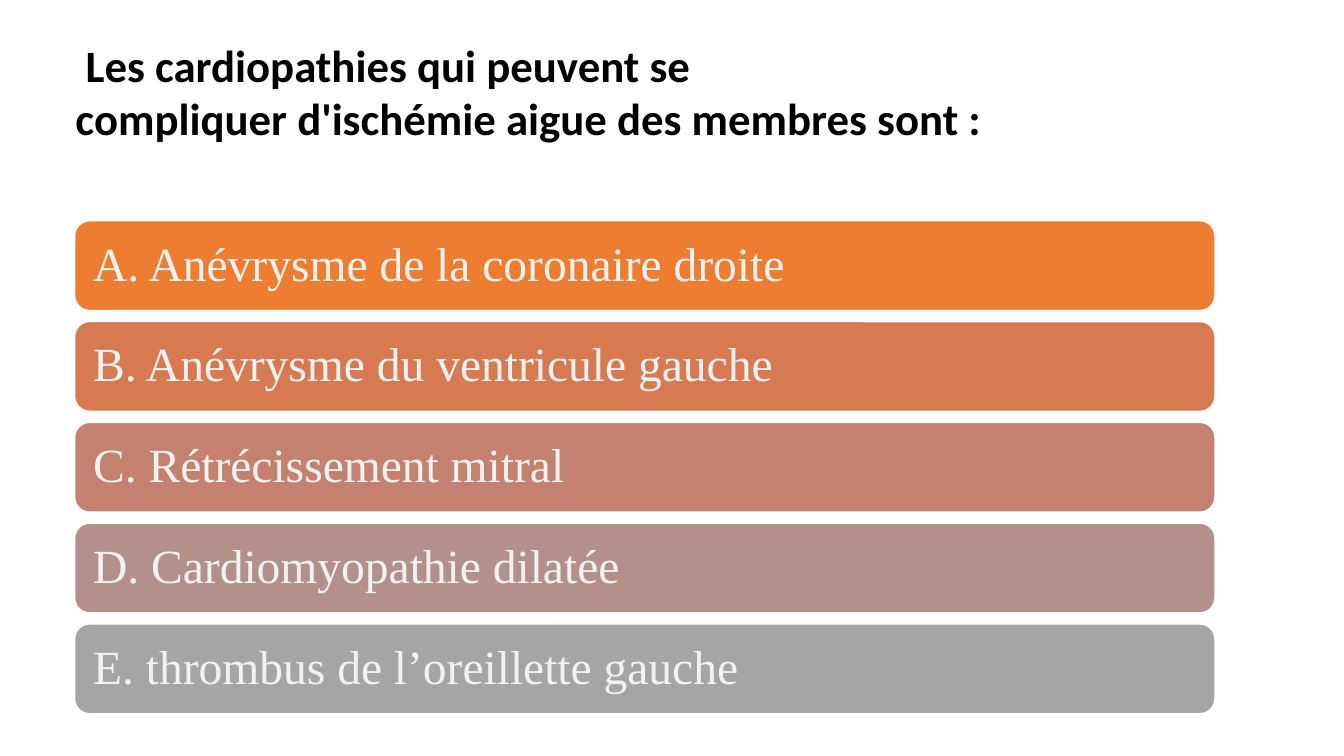
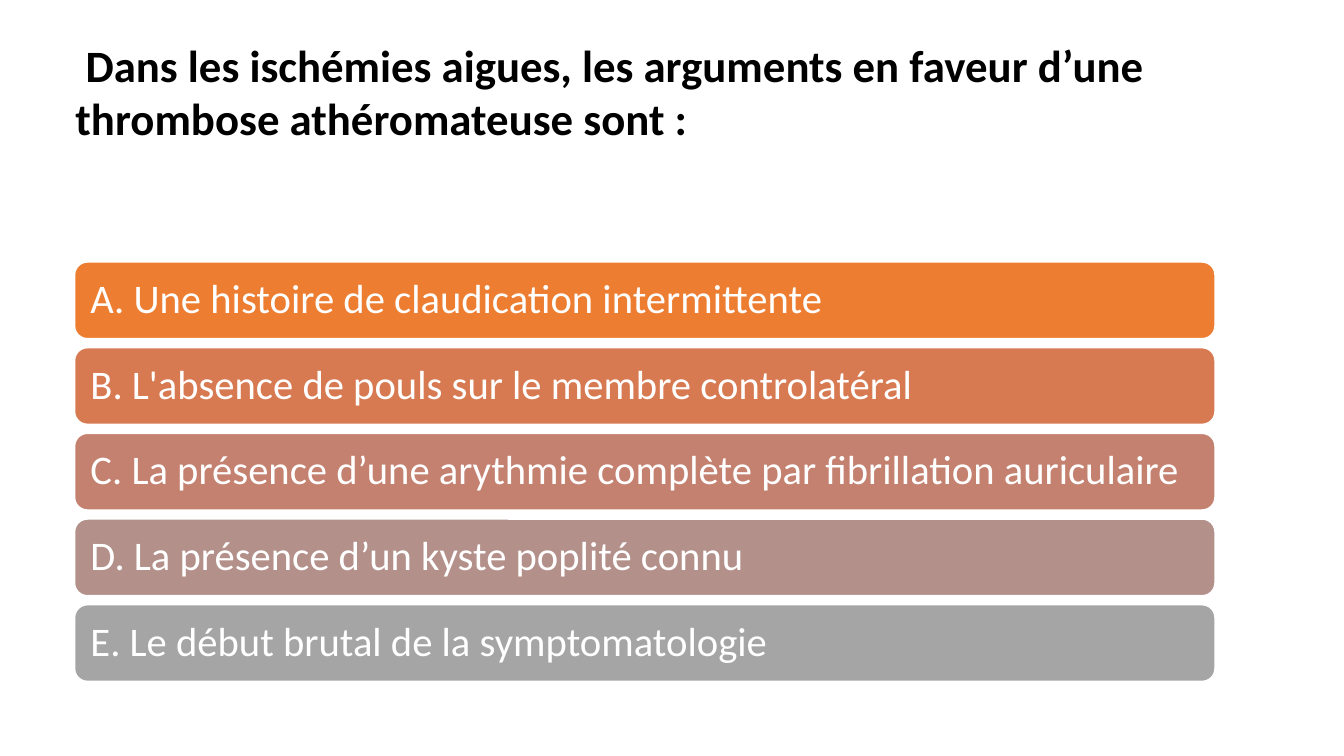
from dataclasses import dataclass

from pptx import Presentation
from pptx import util as u
from pptx.dml.color import RGBColor
from pptx.enum import shapes, text


@dataclass(frozen=True)
class Theme:
    title_font: str = "Calibri"
    title_size: int = 32
    title_color: str = "000000"
    edge: str = "FFFFFF"
    bars: tuple[str, ...] = ("ED7D31", "D87A51", "C48170", "B4908B", "A5A5A5")


@dataclass(frozen=True)
class AnswerStyle:
    """Bar rows are counted in grid units."""
    top: float
    height: float
    pitch: float
    inset: float
    font: str
    size: int
    color: str


@dataclass(frozen=True)
class Question:
    title: tuple[str, ...]
    title_height: float
    answers: tuple[str, ...]
    style: AnswerStyle


THEME = Theme()

# Grid: 75 rows down the slide, columns of the same size
SLIDE_W, SLIDE_H = u.Inches(13.33), u.Inches(7.5)
UNIT = SLIDE_H / 75
TITLE_LEFT, TITLE_TOP, TITLE_WIDTH = 6.5, 3.2, 118.2
BAR_LEFT, BAR_WIDTH = 7.4, 113.1

QUESTIONS = (
    Question(
        (" Les cardiopathies qui peuvent se",
         "compliquer d'ischémie aigue des membres sont :"),
        11.8,
        ("A. Anévrysme de la coronaire droite",
         "B. Anévrysme du ventricule gauche",
         "C. Rétrécissement mitral",
         "D. Cardiomyopathie dilatée",
         "E. thrombus de l’oreillette gauche"),
        AnswerStyle(21.9, 8.9, 10, 1.4, "Times New Roman", 34, "F2F2F2"),
    ),
    Question(
        (" Dans les ischémies aigues, les arguments en faveur d’une "
         "thrombose athéromateuse sont :",),
        20.2,
        ("A. Une histoire de claudication intermittente",
         "B. L'absence de pouls sur le membre controlatéral",
         "C. La présence d’une arythmie complète par fibrillation auriculaire",
         "D. La présence d’un kyste poplité connu",
         "E. Le début brutal de la symptomatologie"),
        AnswerStyle(26, 7.6, 8.5, 1.2, "Calibri", 29, "FFFFFF"),
    ),
)


def grid(*units: float) -> list[u.Emu]:
    return [u.Emu(round(n * UNIT)) for n in units]


def format_runs(p, font: str, size: int, color: str, bold: bool = False) -> None:
    for r in p.runs:
        r.font.name, r.font.size, r.font.bold = font, u.Pt(size), bold
        r.font.color.rgb = RGBColor.from_string(color)


def add_title(s, question: Question) -> None:
    box = s.shapes.add_textbox(
        *grid(TITLE_LEFT, TITLE_TOP, TITLE_WIDTH, question.title_height))
    tf = box.text_frame
    tf.word_wrap = True
    tf.text = "\n".join(question.title)
    for p in tf.paragraphs:
        format_runs(p, THEME.title_font, THEME.title_size, THEME.title_color, True)


def add_bar(s, row: int, answer: str, fill: str, style: AnswerStyle) -> None:
    top = style.top + row * style.pitch
    sp = s.shapes.add_shape(shapes.MSO_SHAPE.ROUNDED_RECTANGLE,
                            *grid(BAR_LEFT, top, BAR_WIDTH, style.height))
    sp.shadow.inherit = False
    sp.fill.solid()
    sp.fill.fore_color.rgb = RGBColor.from_string(fill)
    sp.line.color.rgb = RGBColor.from_string(THEME.edge)
    sp.line.width = u.Pt(1)

    tf = sp.text_frame
    tf.word_wrap = True
    tf.vertical_anchor = text.MSO_ANCHOR.MIDDLE
    tf.margin_left, tf.margin_top, tf.margin_right, tf.margin_bottom = grid(
        *[style.inset] * 4)
    tf.text = answer
    p = tf.paragraphs[0]
    p.alignment = text.PP_ALIGN.LEFT
    p.line_spacing = 0.9
    format_runs(p, style.font, style.size, style.color)


def main() -> None:
    prs = Presentation()
    prs.slide_width, prs.slide_height = SLIDE_W, SLIDE_H
    for question in QUESTIONS:
        s = prs.slides.add_slide(prs.slide_layouts[6])
        add_title(s, question)
        # One bar per answer, from orange down to grey
        for row, (answer, fill) in enumerate(zip(question.answers, THEME.bars)):
            add_bar(s, row, answer, fill, question.style)
    prs.save("out.pptx")


if __name__ == "__main__":
    main()
